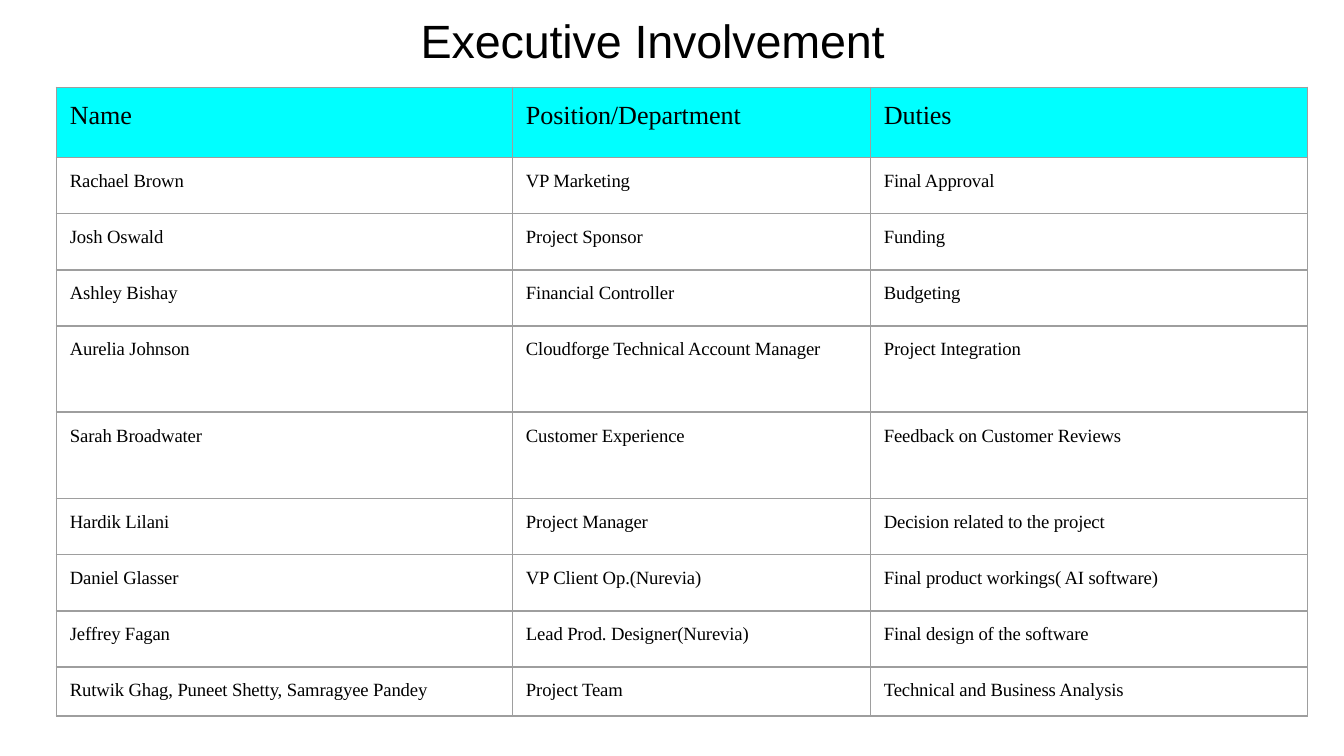
from dataclasses import dataclass

import pptx
import pptx.dml.color
import pptx.enum.text
import pptx.oxml
import pptx.oxml.ns
import pptx.util

BLACK = pptx.dml.color.RGBColor(0x00, 0x00, 0x00)
CYAN = pptx.dml.color.RGBColor(0x00, 0xFF, 0xFF)
GREY = pptx.dml.color.RGBColor(0x9E, 0x9E, 0x9E)

# A 16:9 page
PAGE_WIDTH = pptx.util.Inches(10)
PAGE_HEIGHT = PAGE_WIDTH * 9 // 16
TABLE_WIDTH = pptx.util.Inches(9.31)
TABLE_HEIGHT = pptx.util.Inches(4.68)
COLUMN_WEIGHTS = (3.39, 2.66, 3.25)

# Row heights as weights of the table's height
HEADER, NORMAL, TALL, LAST = 10, 8, 12.3, 7


@dataclass(frozen=True)
class Entry:
    name: str
    position: str
    duties: str
    weight: float = NORMAL


ENTRIES = (
    Entry("Name", "Position/Department", "Duties", HEADER),
    Entry("Rachael Brown", "VP Marketing", "Final Approval"),
    Entry("Josh Oswald", "Project Sponsor", "Funding"),
    Entry("Ashley Bishay", "Financial Controller", "Budgeting"),
    Entry("Aurelia Johnson", "Cloudforge Technical Account Manager",
          "Project Integration", TALL),
    Entry("Sarah Broadwater", "Customer Experience",
          "Feedback on Customer Reviews", TALL),
    Entry("Hardik Lilani", "Project Manager", "Decision related to the project"),
    Entry("Daniel Glasser", "VP Client Op.(Nurevia)",
          "Final product workings( AI software)"),
    Entry("Jeffrey Fagan", "Lead Prod. Designer(Nurevia)",
          "Final design of the software"),
    Entry("Rutwik Ghag, Puneet Shetty, Samragyee Pandey", "Project Team",
          "Technical and Business Analysis", LAST),
)


def add_span(para, text: str, font: str, size: float) -> None:
    span = para.add_run()
    span.text = text
    span.font.name = font
    span.font.size = pptx.util.Pt(size)
    span.font.bold = False
    span.font.color.rgb = BLACK
    span.font._element.set("spc", "-5")


def add_borders(cell) -> None:
    properties = cell._tc.get_or_add_tcPr()
    for side in ("lnL", "lnR", "lnT", "lnB"):
        properties.append(pptx.oxml.parse_xml(
            f'<a:{side} {pptx.oxml.ns.nsdecls("a")} w="{pptx.util.Pt(1)}">'
            f'<a:solidFill><a:srgbClr val="{GREY}"/></a:solidFill></a:{side}>'))


def fill_cell(cell, text: str, is_header: bool) -> None:
    add_borders(cell)
    if is_header:
        cell.fill.solid()
        cell.fill.fore_color.rgb = CYAN
    else:
        cell.fill.background()
    cell.margin_left = cell.margin_top = pptx.util.Inches(0.1)
    cell.margin_right = cell.margin_bottom = 0
    para = cell.text_frame.paragraphs[0]
    add_span(para, text, "Times New Roman", 14 if is_header else 10)


def add_title(page, text: str) -> None:
    box = page.shapes.title
    box.left, box.top = pptx.util.Inches(3.13), pptx.util.Inches(0.08)
    box.width, box.height = int(PAGE_WIDTH * 0.35), int(PAGE_HEIGHT * 0.08)
    frame = box.text_frame
    frame.margin_left = frame.margin_right = frame.margin_bottom = 0
    frame.margin_top = pptx.util.Inches(0.01)
    frame.auto_size = pptx.enum.text.MSO_AUTO_SIZE.SHAPE_TO_FIT_TEXT
    frame.vertical_anchor = pptx.enum.text.MSO_ANCHOR.TOP
    para = frame.paragraphs[0]
    para.alignment = pptx.enum.text.PP_ALIGN.LEFT
    para.space_before = pptx.util.Pt(1)
    add_span(para, text, "Arial", 25)


def add_roster(page, entries: tuple[Entry, ...]) -> None:
    table = page.shapes.add_table(
        len(entries), len(COLUMN_WEIGHTS),
        pptx.util.Inches(0.42), pptx.util.Inches(0.65),
        TABLE_WIDTH, TABLE_HEIGHT).table
    table.first_row = table.horz_banding = False

    for column, weight in zip(table.columns, COLUMN_WEIGHTS):
        column.width = int(TABLE_WIDTH * weight / sum(COLUMN_WEIGHTS))

    total = sum(entry.weight for entry in entries)
    for index, (row, entry) in enumerate(zip(table.rows, entries)):
        row.height = int(TABLE_HEIGHT * entry.weight / total)
        texts = (entry.name, entry.position, entry.duties)
        for cell, text in zip(row.cells, texts):
            fill_cell(cell, text, is_header=index == 0)


def main() -> None:
    deck = pptx.Presentation()
    deck.slide_width, deck.slide_height = PAGE_WIDTH, PAGE_HEIGHT
    page = deck.slides.add_slide(deck.slide_layouts[5])  # title only
    add_title(page, "Executive Involvement")
    add_roster(page, ENTRIES)
    deck.save("out.pptx")


if __name__ == "__main__":
    main()
